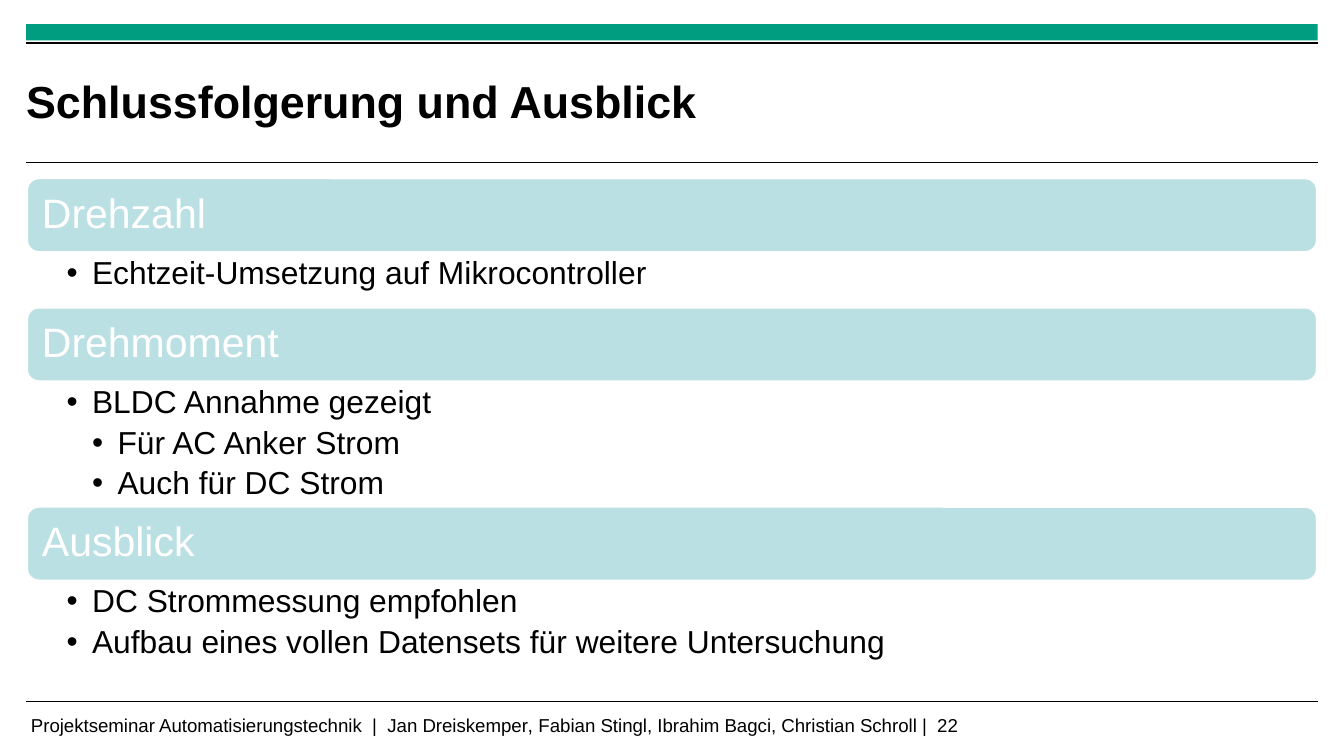
from lxml import etree
from pptx import Presentation
from pptx.dml.color import RGBColor
from pptx.enum.shapes import MSO_CONNECTOR, MSO_SHAPE
from pptx.enum.text import MSO_ANCHOR, PP_ALIGN
from pptx.oxml.ns import qn
from pptx.util import Inches, Pt

RECT, ROUND = MSO_SHAPE.RECTANGLE, MSO_SHAPE.ROUNDED_RECTANGLE
STRAIGHT = MSO_CONNECTOR.STRAIGHT
TOP, MIDDLE = MSO_ANCHOR.TOP, MSO_ANCHOR.MIDDLE
ALIGN_LEFT = PP_ALIGN.LEFT
FONT = "Arial"
COLORS = {"green": "009D81", "aqua": "BBE0E3", "black": "000000", "white": "FFFFFF"}
UNIT = 0.1
COLUMNS, ROWS = 100, 56.25
LEFT, WIDTH = 1.95, 96.1
HEADING_ROWS = 5.62
INDENT = 1.9

SECTIONS = [
    ("Drehzahl", 4, [(1, "Echtzeit-Umsetzung auf Mikrocontroller")]),
    ("Drehmoment", 9.2, [(1, "BLDC Annahme gezeigt"),
                         (2, "Für AC Anker Strom"),
                         (2, "Auch für DC Strom")]),
    ("Ausblick", 6.1, [(1, "DC Strommessung empfohlen"),
                       (1, "Aufbau eines vollen Datensets für weitere Untersuchung")]),
]
FOOTER = [("Projektseminar Automatisierungstechnik  |  Jan Dreiskemper", 10),
          (", ", 10.5),
          ("Fabian Stingl, Ibrahim Bagci, Christian Schroll |  22", 10)]


def grid(units):
    """Turn grid units into a length."""
    return Inches(units * UNIT)


def color(name):
    """Look up a named colour."""
    return RGBColor.from_string(COLORS[name])


def add_text(p, text, size, fill="black", bold=False):
    """Append a formatted run to a paragraph."""
    r = p.add_run()
    r.text = text
    r.font.name, r.font.size, r.font.bold = FONT, Pt(size), bold
    r.font.color.rgb = color(fill)


def set_frame(s, insets, anchor=TOP):
    """Set insets (left, top, right, bottom) and anchor, and return the frame."""
    tf = s.text_frame
    tf.word_wrap = True
    tf.vertical_anchor = anchor
    tf.margin_left, tf.margin_top, tf.margin_right, tf.margin_bottom = map(grid, insets)
    return tf


def add_box(slide, box, shape, fill):
    """Add a filled shape without outline or shadow."""
    s = slide.shapes.add_shape(shape, *map(grid, box))
    s.shadow.inherit = False
    s.fill.solid()
    s.fill.fore_color.rgb = color(fill)
    s.line.fill.background()
    return s


def add_rule(slide, row, weight):
    """Draw a horizontal rule across the content width."""
    s = slide.shapes.add_connector(STRAIGHT, grid(LEFT), grid(row),
                                   grid(LEFT + WIDTH), grid(row))
    s.line.color.rgb = color("black")
    s.line.width = Pt(weight)
    etree.SubElement(s._element.spPr, qn("a:effectLst"))


def add_bullet(p, level):
    """Give a paragraph a hanging bullet for its level."""
    pPr = p._p.get_or_add_pPr()
    pPr.set("marL", str(grid(INDENT * level)))
    pPr.set("indent", str(-grid(INDENT)))
    etree.SubElement(pPr, qn("a:buFont"), typeface=FONT)
    etree.SubElement(pPr, qn("a:buChar"), char="•")
    p.level = level
    p.line_spacing = 0.9
    p.space_after = Pt(3.4)


def header(slide, box):
    """Place the colour bar, the title and their rules."""
    x, y, w, h = box
    add_box(slide, (x, y, w, 1.2), RECT, "green")
    add_rule(slide, y + 1.4, 1.2)
    s = slide.shapes.add_textbox(*map(grid, (x, y + 2.2, 74.6, 6.9)))
    tf = set_frame(s, (0, 0, 0, 0), MIDDLE)
    add_text(tf.paragraphs[0], "Schlussfolgerung und Ausblick", 24, bold=True)
    add_rule(slide, y + h, 0.6)


def section(slide, box, heading, bullets):
    """Place a heading bar with its bullet list below."""
    x, y, w, h = box
    s = add_box(slide, (x, y, w, HEADING_ROWS), ROUND, "aqua")
    s.line.color.rgb = color("white")
    s.line.width = Pt(2)
    p = set_frame(s, (0.9, 0.9, 0.9, 0.9), MIDDLE).paragraphs[0]
    p.alignment = ALIGN_LEFT
    p.line_spacing = 0.9
    add_text(p, heading, 22, fill="white")
    s = slide.shapes.add_textbox(*map(grid, (x, y + HEADING_ROWS, w, h - HEADING_ROWS)))
    tf = set_frame(s, (3, 0.3, 1.7, 0.3))
    for i, (level, text) in enumerate(bullets):
        p = tf.add_paragraph() if i else tf.paragraphs[0]
        add_bullet(p, level)
        add_text(p, text, 17)


def footer(slide, box):
    """Place the footer rule and the line of names."""
    x, y, w, h = box
    add_rule(slide, y, 0.6)
    s = slide.shapes.add_textbox(*map(grid, (x - 1.05, y + 0.35, 79.5, h)))
    p = set_frame(s, (1.4, 0.5, 0, 0)).paragraphs[0]
    for text, size in FOOTER:
        add_text(p, text, size)


def main():
    """Build and save the slide."""
    prs = Presentation()
    prs.slide_width, prs.slide_height = grid(COLUMNS), grid(ROWS)
    slide = prs.slides.add_slide(prs.slide_layouts[6])
    header(slide, (LEFT, 1.8, WIDTH, 10.3))
    row = 13.2
    for heading, body_rows, bullets in SECTIONS:
        rows = HEADING_ROWS + body_rows
        section(slide, (LEFT, row, WIDTH, rows), heading, bullets)
        row += rows
    footer(slide, (LEFT, 52.2, WIDTH, 2.4))
    prs.save("out.pptx")


if __name__ == "__main__":
    main()
